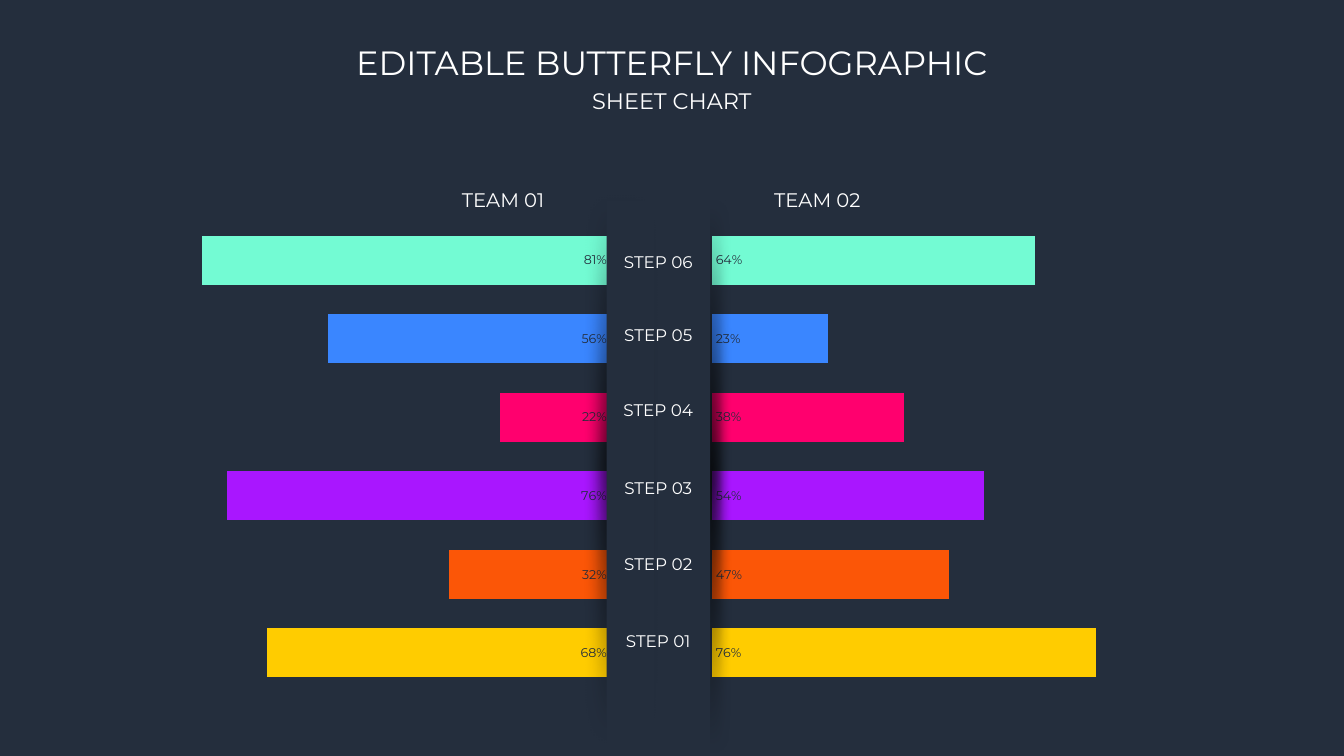
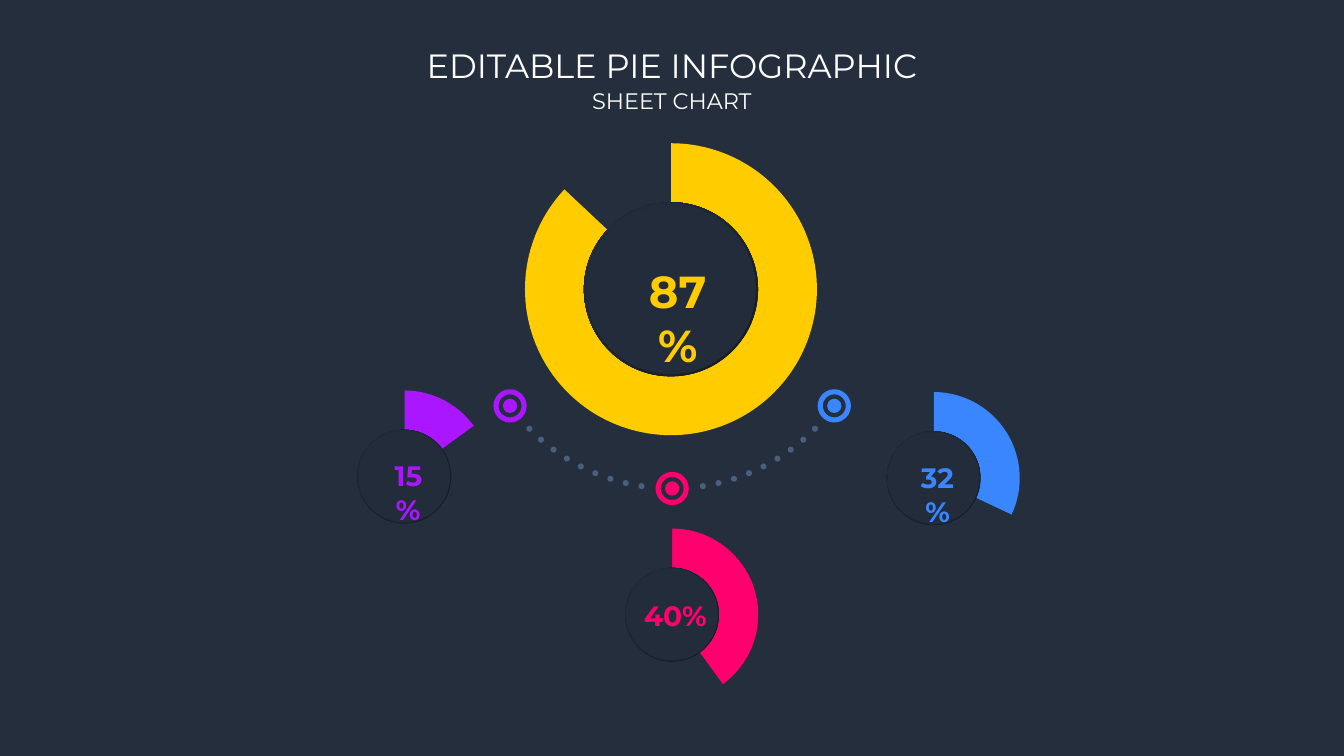
"""Build two dark infographic slides: a butterfly bar chart and a set of progress rings."""
import math

import pptx
import pptx.chart.data
import pptx.dml.color
import pptx.enum.chart
import pptx.enum.shapes
import pptx.enum.text
import pptx.oxml
import pptx.oxml.ns
import pptx.util

Cm = pptx.util.Cm
Pt = pptx.util.Pt
SHAPE = pptx.enum.shapes.MSO_SHAPE
CHART = pptx.enum.chart.XL_CHART_TYPE
LABEL = pptx.enum.chart.XL_LABEL_POSITION

COLORS = {
    "night": "242E3D", "white": "FFFFFF", "black": "000000",
    "yellow": "FFCC00", "orange": "FB5607", "purple": "A916FF",
    "pink": "FF006E", "blue": "3A86FF", "mint": "73FBD3",
    "dots": "4A5F7E", "rim_dark": "141B25", "rim_light": "222E3F", "hub": "222C3A",
}
FONT = "Montserrat"
SUBTITLE = "SHEET CHART"

STEPS = [
    ("STEP 01", 0.68, 0.76, "yellow", 15.9),
    ("STEP 02", 0.32, 0.47, "orange", 13.96),
    ("STEP 03", 0.76, 0.54, "purple", 12.04),
    ("STEP 04", 0.22, 0.38, "pink", 10.08),
    ("STEP 05", 0.56, 0.23, "blue", 8.18),
    ("STEP 06", 0.81, 0.64, "mint", 6.35),
]
TEAMS = [("TEAM 01", 12.68), ("TEAM 02", 20.6)]
SPINE_GAP = 0.2
STEP_CENTER = 16.59
SPINE_EDGES = [
    {"glow": (17.12, 5.08, 0.74, 13.82), "cover": (17.09, 4.72, 0.81, 14.33),
     "shadow": {"alpha": 75, "blur": 8, "dist": 8, "angle": 0}},
    {"glow": (15.34, 5.21, 1.07, 13.49), "cover": (15.29, 5.05, 1.19, 14),
     "shadow": {"alpha": 69, "blur": 12, "dist": 8, "angle": 210}},
]

SMALL = {"chart": (7.39, 5.05), "ring": 4.34, "rim": 2.36, "hub": 2.31, "size": 20}
LARGE = {"chart": (11.81, 8.05), "ring": 7.36, "rim": 4.39, "hub": 4.28, "size": 32}
RINGS = [
    {"value": 15, "color": "purple", "center": (10.19, 12.01), "label": (0.1, -0.57, 1.8), **SMALL},
    {"value": 40, "color": "pink", "center": (16.94, 15.49), "label": (0.08, -0.53, 2.3), **SMALL},
    {"value": 32, "color": "blue", "center": (23.53, 12.05), "label": (0.1, -0.57, 1.9), **SMALL},
    {"value": 87, "color": "yellow", "center": (16.91, 7.29), "label": (0.17, -0.76, 2.85), **LARGE},
]
ARC = {"center": (16.94, 7.26), "radius": 5.05}
DOTS = {"count": 9, "first": 8.8, "step": 4.58, "size": 0.15, "corners": 16}
MARKERS = [(-54, "purple"), (0, "pink"), (54, "blue")]


def rgb(name):
    return pptx.dml.color.RGBColor.from_string(COLORS[name])


def style_font(font, size, color="white", bold=False):
    for key, value in {"name": FONT, "size": Pt(size), "bold": bold}.items():
        setattr(font, key, value)
    font.color.rgb = rgb(color)


def write(frame, text, size, color="white", bold=False, wrap=True, margins=None):
    settings = {
        "word_wrap": wrap,
        "auto_size": pptx.enum.text.MSO_AUTO_SIZE.NONE,
        "vertical_anchor": pptx.enum.text.MSO_ANCHOR.TOP,
    }
    if margins is not None:
        sides = ("left", "top", "right", "bottom")
        settings.update({f"margin_{side}": Cm(margins) for side in sides})
    for key, value in settings.items():
        setattr(frame, key, value)
    paragraph = frame.paragraphs[0]
    paragraph.alignment = pptx.enum.text.PP_ALIGN.CENTER
    paragraph.space_before = Pt(0)
    run = paragraph.add_run()
    run.text = text
    style_font(run.font, size, color, bold)


def add_label(slide, text, center, top, width, height, size, **options):
    box = slide.shapes.add_textbox(Cm(center - width / 2), Cm(top), Cm(width), Cm(height))
    write(box.text_frame, text, size, **options)


def add_titled_slide(deck, title, title_top):
    slide = deck.slides.add_slide(deck.slide_layouts[0])
    heads = [
        (slide.shapes.title, title, 24, (7.62, title_top, 18.62, 1.28)),
        (slide.placeholders[1], SUBTITLE, 16, (14.61, 2.06, 4.65, 0.94)),
    ]
    for holder, text, size, box in heads:
        for key, value in zip(("left", "top", "width", "height"), box):
            setattr(holder, key, Cm(value))
        write(holder.text_frame, text, size)
    return slide


def paint(figure, fill=None, line=None):
    figure.shadow.inherit = False
    if fill:
        figure.fill.solid()
        figure.fill.fore_color.rgb = rgb(fill)
    else:
        figure.fill.background()
    if line:
        figure.line.color.rgb = rgb(line)
        figure.line.width = Pt(3.63)
    else:
        figure.line.fill.background()
    return figure


def add_figure(slide, kind, box, **colors):
    return paint(slide.shapes.add_shape(kind, *map(Cm, box)), **colors)


def add_circle(slide, center, size, **colors):
    x, y = center
    return add_figure(slide, SHAPE.OVAL, (x - size / 2, y - size / 2, size, size), **colors)


def color_xml(color, alpha):
    return f'<a:srgbClr val="{COLORS[color]}"><a:alpha val="{alpha * 1000}"/></a:srgbClr>'


def set_gradient(figure, stops, angle):
    marks = "".join(
        f'<a:gs pos="{place * 1000}">{color_xml(color, alpha)}</a:gs>'
        for place, color, alpha in stops)
    gradient = pptx.oxml.parse_xml(
        f'<a:gradFill {pptx.oxml.ns.nsdecls("a")} rotWithShape="1"><a:gsLst>{marks}</a:gsLst>'
        f'<a:lin ang="{angle * 60000}" scaled="0"/></a:gradFill>')
    old = figure.element.spPr.find(pptx.oxml.ns.qn("a:noFill"))
    figure.element.spPr.replace(old, gradient)


def set_shadow(figure, alpha, blur, dist, angle):
    effects = figure.element.spPr.find(pptx.oxml.ns.qn("a:effectLst"))
    effects.append(pptx.oxml.parse_xml(
        f'<a:outerShdw {pptx.oxml.ns.nsdecls("a")} blurRad="{Pt(blur)}" dist="{Pt(dist)}" '
        f'dir="{angle * 60000}" algn="ctr" rotWithShape="0">{color_xml("black", alpha)}'
        '</a:outerShdw>'))


def add_plain_chart(slide, kind, box, data, plot_size):
    chart = slide.shapes.add_chart(kind, *map(Cm, box), data).chart
    chart.has_legend = False
    chart.has_title = False
    style_font(chart.font, 10)
    width, height = plot_size
    area = chart.element.xpath(".//c:plotArea")[0]
    for layout in area.findall(pptx.oxml.ns.qn("c:layout")):
        area.remove(layout)
    values = {"x": (1 - width) / 2, "y": (1 - height) / 2, "w": width, "h": height}
    places = "".join(f'<c:{key} val="{value:.4f}"/>' for key, value in values.items())
    area.insert(0, pptx.oxml.parse_xml(
        f'<c:layout {pptx.oxml.ns.nsdecls("c")}><c:manualLayout><c:layoutTarget val="inner"/>'
        f'<c:xMode val="edge"/><c:yMode val="edge"/>{places}</c:manualLayout></c:layout>'))
    return chart


def paint_points(series, colors):
    for index, color in enumerate(colors):
        look = series.points[index].format
        look.fill.solid()
        look.fill.fore_color.rgb = rgb(color)
        look.line.fill.background()


def add_butterfly(slide):
    names, left, right, colors, _ = zip(*STEPS)
    columns = [
        [round(1 - value, 2) for value in left], left, [SPINE_GAP] * len(names),
        right, [round(1 - value, 2) for value in right],
    ]
    data = pptx.chart.data.CategoryChartData(number_format="0%")
    data.categories = [str(number) for number in range(1, len(names) + 1)]
    for number, values in enumerate(columns, 1):
        data.add_series(f"Series {number}", values)
    chart = add_plain_chart(slide, CHART.BAR_STACKED, (2, 5.32, 33.15, 12.37),
                            data, (0.96, 0.96))
    for axis in (chart.category_axis, chart.value_axis):
        axis.has_major_gridlines = False
        axis.visible = False
    chart.value_axis.minimum_scale = 0
    chart.value_axis.maximum_scale = 2.5
    plot = chart.plots[0]
    for key, value in {"gap_width": 60, "overlap": 100, "vary_by_categories": False}.items():
        setattr(plot, key, value)
    wings = {1: LABEL.INSIDE_END, 3: LABEL.INSIDE_BASE}
    for index, series in enumerate(plot.series):
        if index not in wings:
            series.format.fill.background()
            series.format.line.fill.background()
            continue
        paint_points(series, colors)
        labels = series.data_labels
        settings = {"show_value": True, "position": wings[index],
                    "number_format": "0%", "number_format_is_linked": False}
        for key, value in settings.items():
            setattr(labels, key, value)
        style_font(labels.font, 9, "night")


def add_spine(slide):
    for edge in SPINE_EDGES:
        glow = add_figure(slide, SHAPE.RECTANGLE, edge["glow"])
        set_gradient(glow, [(0, "white", 0), (50, "white", 100), (100, "white", 0)], 90)
        set_shadow(glow, **edge["shadow"])
        add_figure(slide, SHAPE.RECTANGLE, edge["cover"], fill="night")
    for name, *_, top in STEPS:
        add_label(slide, name, STEP_CENTER, top, 1.8, 0.51, 12, wrap=False, margins=0)
    for team, center in TEAMS:
        add_label(slide, team, center, 4.74, 2.2, 0.61, 14, wrap=False, margins=0)


def circle_point(center, radius, degrees):
    x, y = center
    angle = math.radians(degrees)
    return x + radius * math.sin(angle), y + radius * math.cos(angle)


def add_dotted_arc(slide, side):
    outlines = []
    for index in range(DOTS["count"]):
        middle = circle_point(**ARC, degrees=side * (DOTS["first"] + index * DOTS["step"]))
        corners = [circle_point(middle, DOTS["size"] / 2, 360 * corner / DOTS["corners"])
                   for corner in range(DOTS["corners"])]
        outlines.append([(Cm(x), Cm(y)) for x, y in corners])
    builder = slide.shapes.build_freeform(*outlines[0][0])
    for outline in outlines:
        if outline is not outlines[0]:
            builder.move_to(*outline[0])
        builder.add_line_segments(outline[1:], close=True)
    paint(builder.convert_to_shape(), fill="dots")


def add_arc(slide):
    for side in (1, -1):
        add_dotted_arc(slide, side)
    for degrees, color in MARKERS:
        spot = circle_point(**ARC, degrees=degrees)
        add_circle(slide, spot, 0.36, fill=color)
        add_circle(slide, spot, 0.71, line=color)


def add_ring(slide, ring):
    x, y = ring["center"]
    width, height = ring["chart"]
    data = pptx.chart.data.CategoryChartData()
    data.categories = ["1", "2"]
    data.add_series("Series 1", [ring["value"], 100 - ring["value"]])
    chart = add_plain_chart(slide, CHART.DOUGHNUT, (x - width / 2, y - height / 2, width, height),
                            data, (ring["ring"] / width, ring["ring"] / height))
    chart.plots[0].vary_by_categories = False
    chart.element.xpath(".//c:holeSize")[0].set("val", "32")
    paint_points(chart.plots[0].series[0], [ring["color"], "night"])
    rim = add_circle(slide, ring["center"], ring["rim"])
    set_gradient(rim, [(0, "rim_dark", 100), (100, "rim_light", 100)], 225)
    add_circle(slide, ring["center"], ring["hub"], fill="hub")
    shift, rise, label_width = ring["label"]
    add_label(slide, f'{ring["value"]}%', x + shift, y + rise, label_width, 1.12,
              ring["size"], color=ring["color"], bold=True)


def main():
    deck = pptx.Presentation()
    deck.slide_width, deck.slide_height = Cm(33.87), Cm(19.05)
    backdrop = deck.slide_master.background.fill
    backdrop.solid()
    backdrop.fore_color.rgb = rgb("night")

    butterfly = add_titled_slide(deck, "EDITABLE BUTTERFLY INFOGRAPHIC", 0.93)
    add_butterfly(butterfly)
    add_spine(butterfly)

    pies = add_titled_slide(deck, "EDITABLE PIE INFOGRAPHIC", 1)
    add_arc(pies)
    for ring in RINGS:
        add_ring(pies, ring)
    deck.save("out.pptx")


if __name__ == "__main__":
    main()
